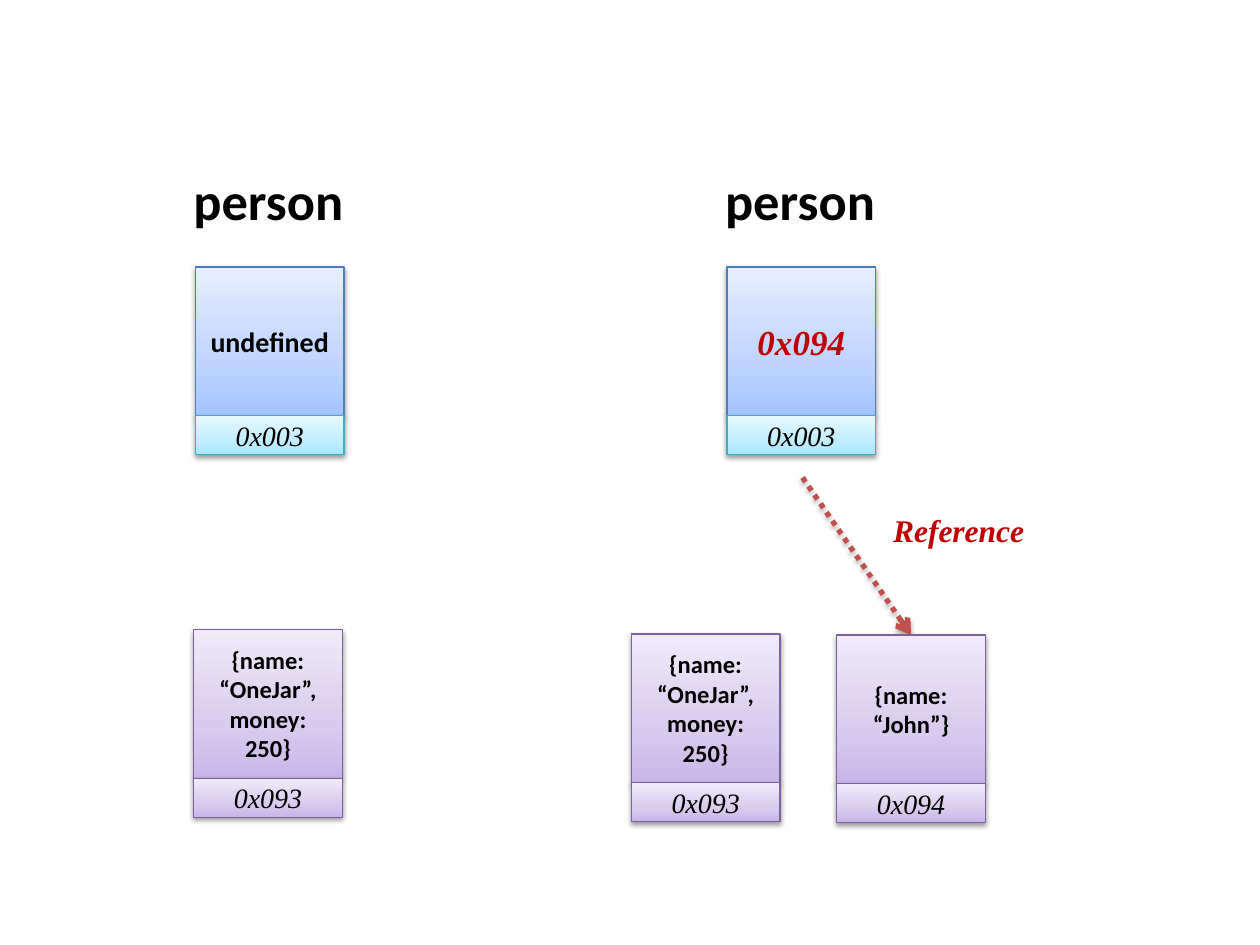
from dataclasses import dataclass

import pptx
import pptx.util
from pptx.dml.color import RGBColor
from pptx.enum.dml import MSO_LINE
from pptx.enum.shapes import MSO_CONNECTOR, MSO_SHAPE
from pptx.enum.text import MSO_ANCHOR, MSO_AUTO_SIZE, PP_ALIGN
from pptx.oxml import parse_xml
from pptx.oxml.ns import nsdecls, qn

Pt = pptx.util.Pt


@dataclass(frozen=True)
class Font:
    name: str
    size: int
    color: str = "000000"
    bold: bool = False
    italic: bool = False


@dataclass(frozen=True)
class Paint:
    stops: tuple  # colours from bottom to top
    line: str


class Theme:
    heading = Font("Calibri", 30, bold=True)
    value = Font("Calibri", 16, bold=True)
    literal = Font("Calibri", 14, bold=True)
    address = Font("Times New Roman", 16, italic=True)
    pointer = Font("Times New Roman", 20, "C00000", True, True)
    label = Font("Times New Roman", 18, "C00000", True, True)
    blue = Paint(("A4C4FF", "BFD4FF", "E6EEFF"), "4B7EBC")
    cyan = Paint(("A7E6FF", "C1EDFF", "E7F8FF"), "46AAC5")
    purple = Paint(("C9B5E8", "D8CBEE", "F0EAF9"), "7D60A0")
    arrow = "C0504D"


CELL = 85
ADDRESS_HEIGHT = 22.3
VARIABLE_TOP = 152.6
HEADING_TOP, HEADING_WIDTH, HEADING_HEIGHT = 92.2, 108, 44


def write(tf, text, font, align):
    tf.word_wrap = True
    p = tf.paragraphs[0]
    p.text = text
    p.alignment = align
    p.font.name = font.name
    p.font.size = Pt(font.size)
    p.font.bold = font.bold
    p.font.italic = font.italic
    p.font.color.rgb = RGBColor.from_string(font.color)


def add_shadow(sp, distance, opacity):
    spPr = sp._element.spPr
    for old in spPr.findall(qn("a:effectLst")):
        spPr.remove(old)
    spPr.append(parse_xml(
        f'<a:effectLst {nsdecls("a")}><a:outerShdw blurRad="{Pt(3.1)}" '
        f'dist="{Pt(distance)}" dir="5400000" rotWithShape="0">'
        f'<a:srgbClr val="000000"><a:alpha val="{opacity * 1000}"/></a:srgbClr>'
        '</a:outerShdw></a:effectLst>'))


def add_gradient(sp, colors):
    stops = "".join(
        f'<a:gs pos="{pos * 1000}"><a:srgbClr val="{color}"/></a:gs>'
        for pos, color in zip((0, 35, 100), colors))
    geometry = sp._element.spPr.find(qn("a:prstGeom"))
    geometry.addnext(parse_xml(
        f'<a:gradFill {nsdecls("a")} rotWithShape="1"><a:gsLst>{stops}</a:gsLst>'
        '<a:lin ang="16200000" scaled="0"/></a:gradFill>'))


def add_box(shapes, x, y, height, text, font, paint):
    sp = shapes.add_shape(MSO_SHAPE.RECTANGLE, Pt(x), Pt(y), Pt(CELL), Pt(height))
    add_gradient(sp, paint.stops)
    sp.line.color.rgb = RGBColor.from_string(paint.line)
    sp.line.width = Pt(0.75)
    add_shadow(sp, 1.6, 38)
    sp.text_frame.vertical_anchor = MSO_ANCHOR.MIDDLE
    write(sp.text_frame, text, font, PP_ALIGN.CENTER)


def add_text(shapes, x, y, width, height, text, font, align):
    sp = shapes.add_textbox(Pt(x), Pt(y), Pt(width), Pt(height))
    write(sp.text_frame, text, font, align)
    sp.text_frame.auto_size = MSO_AUTO_SIZE.SHAPE_TO_FIT_TEXT


def add_memory(s, x, y, content, font, address, paint, address_paint):
    """Group a content cell with the address strip below it."""
    shapes = s.shapes.add_group_shape().shapes
    add_box(shapes, x, y, CELL, content, font, paint)
    add_box(shapes, x, y + CELL, ADDRESS_HEIGHT, address, Theme.address, address_paint)
    return shapes


def add_variable(s, x, name, content, font, address):
    shapes = add_memory(s, x, VARIABLE_TOP, content, font, address,
                        Theme.blue, Theme.cyan)
    add_text(shapes, x - 12.2, HEADING_TOP, HEADING_WIDTH, HEADING_HEIGHT,
             name, Theme.heading, PP_ALIGN.CENTER)


def add_object(s, x, y, content, address):
    add_memory(s, x, y, content, Theme.literal, address, Theme.purple, Theme.purple)


def add_reference(s, x1, y1, x2, y2):
    line = s.shapes.add_connector(MSO_CONNECTOR.STRAIGHT, Pt(x1), Pt(y1), Pt(x2), Pt(y2))
    line.line.color.rgb = RGBColor.from_string(Theme.arrow)
    line.line.width = Pt(3)
    line.line.dash_style = MSO_LINE.ROUND_DOT
    line.line._get_or_add_ln().append(
        parse_xml(f'<a:tailEnd {nsdecls("a")} type="arrow"/>'))
    add_shadow(line, 1.8, 35)


def main():
    prs = pptx.Presentation()
    prs.slide_width, prs.slide_height = Pt(720), Pt(540)
    s = prs.slides.add_slide(prs.slide_layouts[6])

    one_jar = "{name: “OneJar”, money: 250}"
    add_variable(s, 415.4, "person", "0x094", Theme.pointer, "0x003")
    add_reference(s, 458.6, 272.9, 520.6, 362.9)
    add_text(s.shapes, 503.3, 288.7, 113, 29, "Reference", Theme.label, PP_ALIGN.LEFT)
    add_object(s, 360.7, 362.2, one_jar, "0x093")
    add_object(s, 478.1, 362.9, "{name: “John”}", "0x094")

    add_variable(s, 111.6, "person", "undefined", Theme.value, "0x003")
    add_object(s, 110.6, 359.7, one_jar, "0x093")

    prs.save("out.pptx")


if __name__ == "__main__":
    main()
